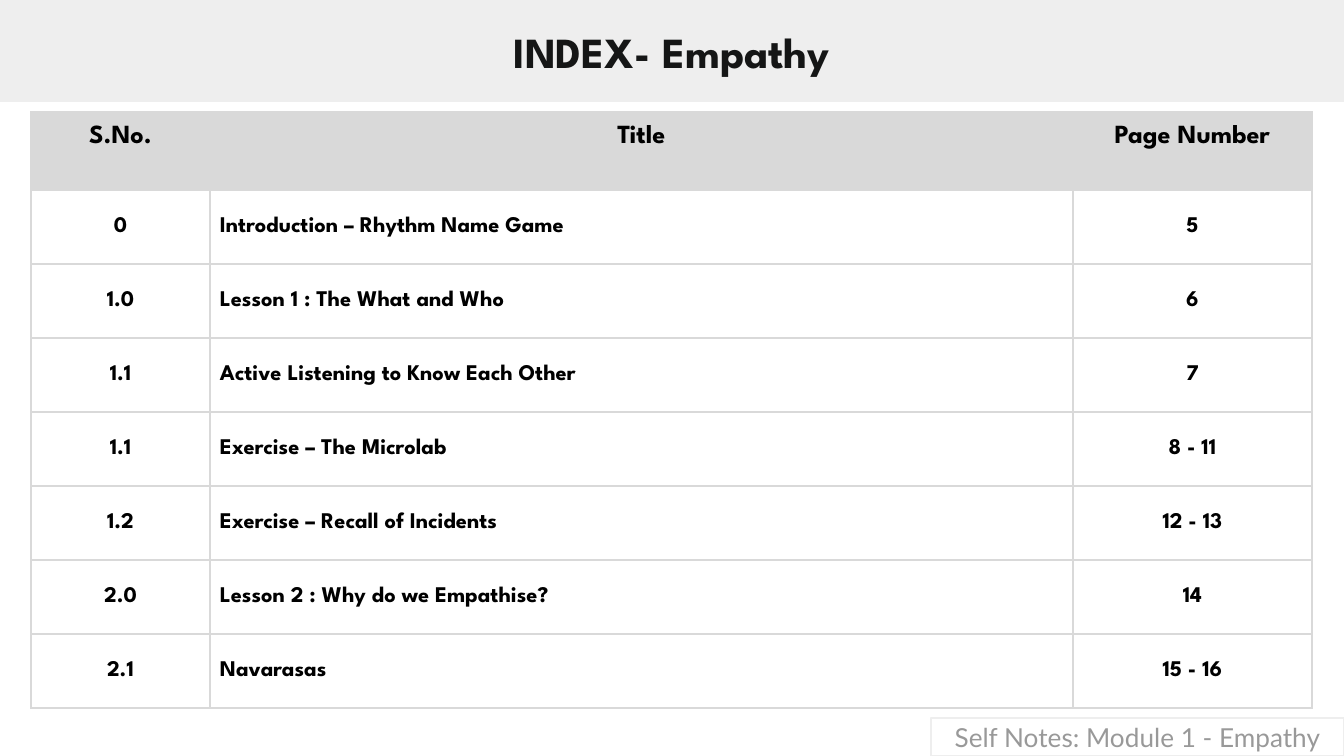
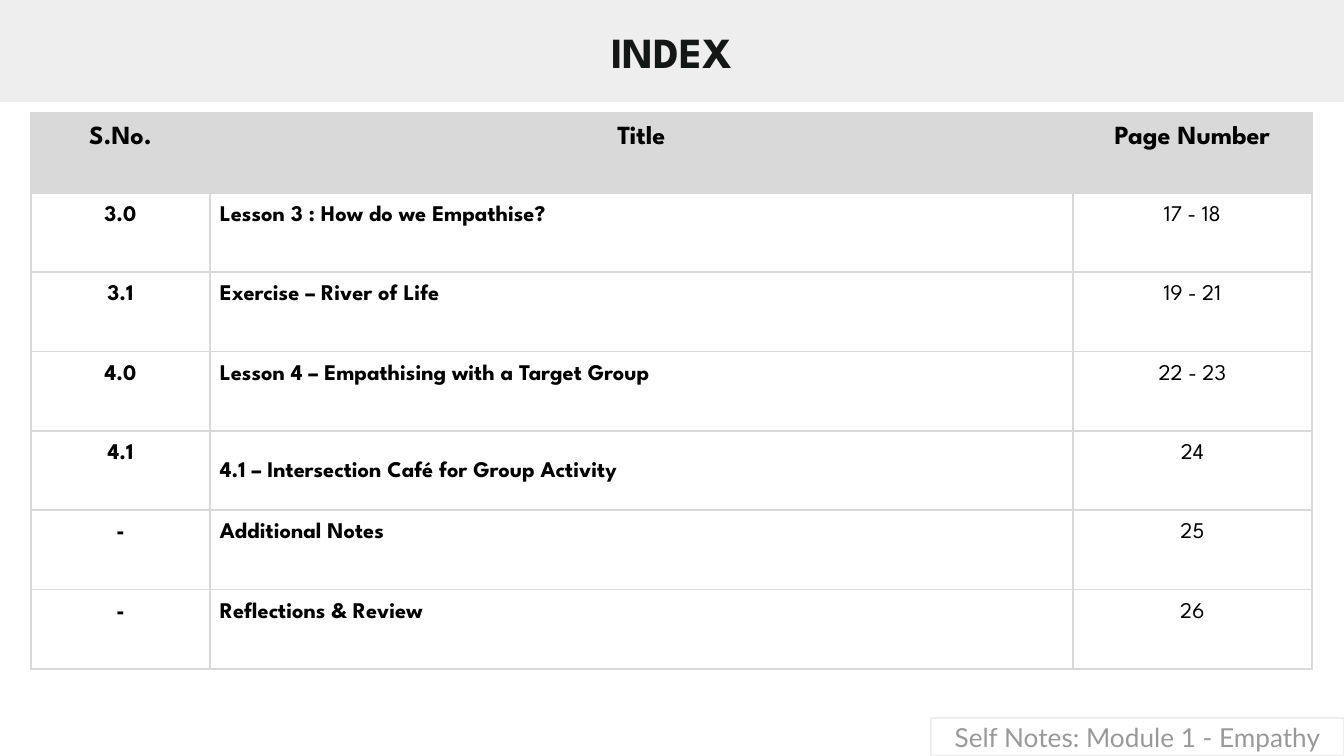
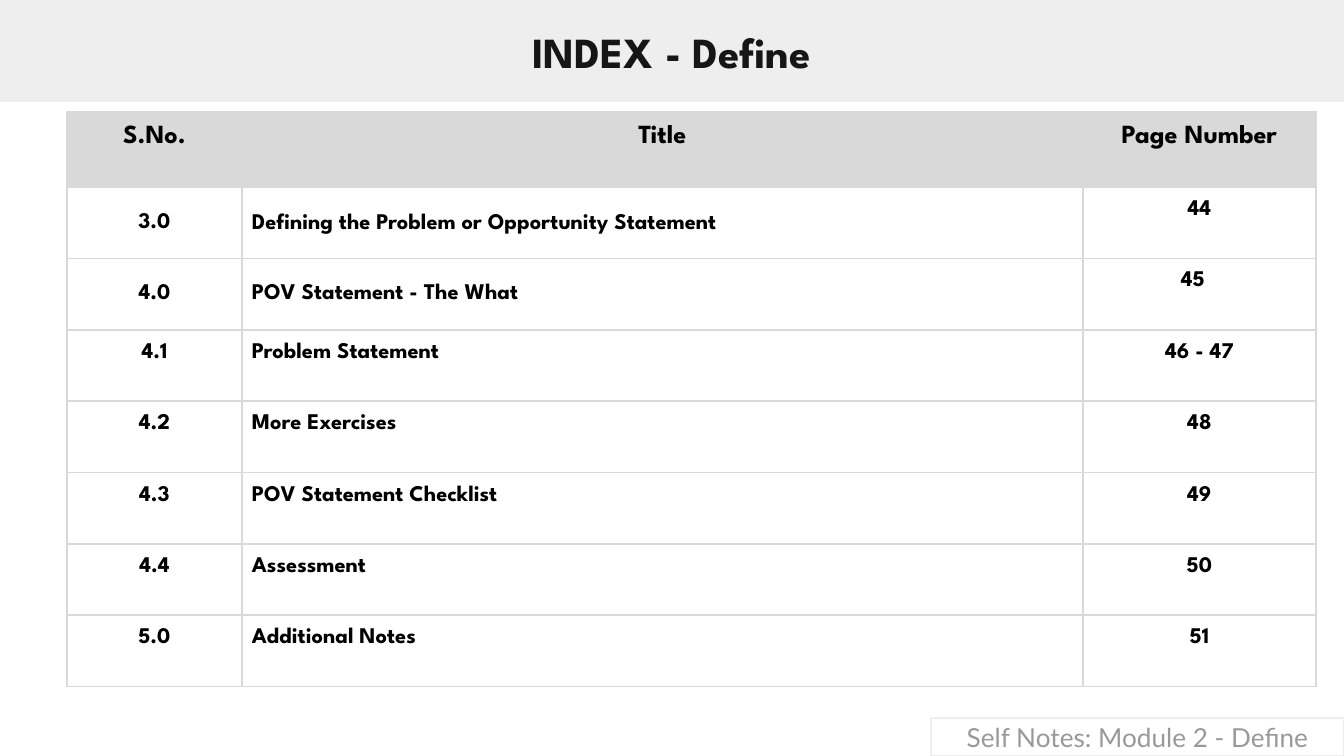
from pptx import Presentation
from pptx import util as u
from pptx.dml.color import RGBColor
from pptx.enum import shapes, text
from pptx.oxml import parse_xml
from pptx.oxml.ns import nsdecls

PX = u.Inches(10) / 1344
BAND = RGBColor(0xEE, 0xEE, 0xEE)
GRID = RGBColor(0xD9, 0xD9, 0xD9)
INK = RGBColor(0x15, 0x16, 0x16)
BLACK = RGBColor(0, 0, 0)
MUTED = RGBColor(0x99, 0x99, 0x99)
HEADINGS = ("S.No.", "Title", "Page Number")
CENTRE, LEFT = text.PP_ALIGN.CENTER, text.PP_ALIGN.LEFT
MIDDLE, TOP = text.MSO_ANCHOR.MIDDLE, text.MSO_ANCHOR.TOP


def px(length):
    return u.Emu(round(length * PX))


def write(frame, words, font, size, color, bold=False, align=CENTRE):
    paragraph = frame.paragraphs[0]
    paragraph.alignment = align
    run = paragraph.add_run()
    run.text = words
    run.font.name = font
    run.font.size = u.Pt(size)
    run.font.bold = bold
    run.font.color.rgb = color
    return paragraph


indexes = [
    dict(
        title="INDEX- Empathy", footer="Self Notes: Module 1 - Empathy",
        left=31, top=112, columns=(179, 863, 239), header=78, body=518,
        bold_pages=True, spaced=(), indents={},
        middle={(row, column) for row in range(1, 8) for column in range(3)},
        entries=[
            ("0", "Introduction – Rhythm Name Game", "5"),
            ("1.0", "Lesson 1 : The What and Who", "6"),
            ("1.1", "Active Listening to Know Each Other", "7"),
            ("1.1", "Exercise – The Microlab", "8 - 11"),
            ("1.2", "Exercise – Recall of Incidents", "12 - 13"),
            ("2.0", "Lesson 2 : Why do we Empathise?", "14"),
            ("2.1", "Navarasas", "15 - 16"),
        ],
    ),
    dict(
        title="INDEX", footer="Self Notes: Module 1 - Empathy",
        left=31, top=113, columns=(179, 863, 239), header=80, body=476,
        bold_pages=False, spaced={(4, 1)}, indents={}, middle={(4, 1)},
        entries=[
            ("3.0", "Lesson 3 : How do we Empathise?", "17 - 18"),
            ("3.1", "Exercise – River of Life", "19 - 21"),
            ("4.0", "Lesson 4 – Empathising with a Target Group", "22 - 23"),
            ("4.1", "4.1 – Intersection Café for Group Activity", "24"),
            ("-", "Additional Notes", "25"),
            ("-", "Reflections & Review", "26"),
        ],
    ),
    dict(
        title="INDEX - Define", footer="Self Notes: Module 2 - Define",
        left=67, top=112, columns=(175, 841, 233), header=75, body=500,
        bold_pages=True, spaced={(1, 1)}, indents={(2, 2): 98},
        middle={(1, 0), (1, 1), (2, 0), (2, 1)},
        entries=[
            ("3.0", "Defining the Problem or Opportunity Statement", "44"),
            ("4.0", "POV Statement - The What", "45"),
            ("4.1", "Problem Statement", "46 - 47"),
            ("4.2", "More Exercises", "48"),
            ("4.3", "POV Statement Checklist", "49"),
            ("4.4", "Assessment", "50"),
            ("5.0", "Additional Notes", "51"),
        ],
    ),
]

deck = Presentation()
deck.slide_width, deck.slide_height = px(1344), px(756)

for index in indexes:
    slide = deck.slides.add_slide(deck.slide_layouts[5])

    heading = slide.shapes.title
    heading.left, heading.top, heading.width, heading.height = px(0), px(0), px(1344), px(102)
    heading.fill.solid()
    heading.fill.fore_color.rgb = BAND
    heading.text_frame.auto_size = text.MSO_AUTO_SIZE.NONE
    heading.text_frame.vertical_anchor = MIDDLE
    write(heading.text_frame, index["title"], "League Spartan", 23, INK, bold=True)

    rows = [HEADINGS] + index["entries"]
    contents = slide.shapes.add_table(
        len(rows), 3, px(index["left"]), px(index["top"]),
        px(sum(index["columns"])), px(index["header"] + index["body"])).table
    contents.first_row = contents.horz_banding = False
    for column, width in zip(contents.columns, index["columns"]):
        column.width = px(width)
    for number, line in enumerate(contents.rows):
        line.height = px(index["body"] / len(index["entries"]) if number else index["header"])

    for row, entry in enumerate(rows):
        for column, words in enumerate(entry):
            spot = row, column
            cell = contents.cell(row, column)
            for side in "LRTB":
                cell._tc.get_or_add_tcPr().append(parse_xml(
                    f'<a:ln{side} w="{u.Pt(1)}" {nsdecls("a")}><a:solidFill>'
                    f'<a:srgbClr val="{GRID}"/></a:solidFill></a:ln{side}>'))
            if row == 0:
                cell.fill.solid()
                cell.fill.fore_color.rgb = GRID
            else:
                cell.fill.background()
            cell.margin_left = px(index["indents"].get(spot, 10))
            cell.margin_right = px(10)
            cell.margin_top = cell.margin_bottom = px(13)
            cell.vertical_anchor = MIDDLE if spot in index["middle"] else TOP
            flush = spot in index["indents"] or (row > 0 and column == 1)
            paragraph = write(
                cell.text_frame, words, "League Spartan", 12 if row else 14, BLACK,
                bold=row == 0 or column < 2 or index["bold_pages"],
                align=LEFT if flush else CENTRE)
            if spot in index["spaced"]:
                paragraph.line_spacing = 1.15

    footer = slide.shapes.add_shape(
        shapes.MSO_SHAPE.RECTANGLE, px(931), px(718), px(413), px(38))
    footer.shadow.inherit = False
    footer.fill.background()
    footer.line.color.rgb = BAND
    footer.line.width = u.Pt(0.75)
    footer.text_frame.word_wrap = True
    footer.text_frame.vertical_anchor = MIDDLE
    footer.text_frame.margin_left = footer.text_frame.margin_right = px(13)
    footer.text_frame.margin_top = footer.text_frame.margin_bottom = px(13)
    write(footer.text_frame, index["footer"], "Lato", 14, MUTED)

deck.save("out.pptx")
